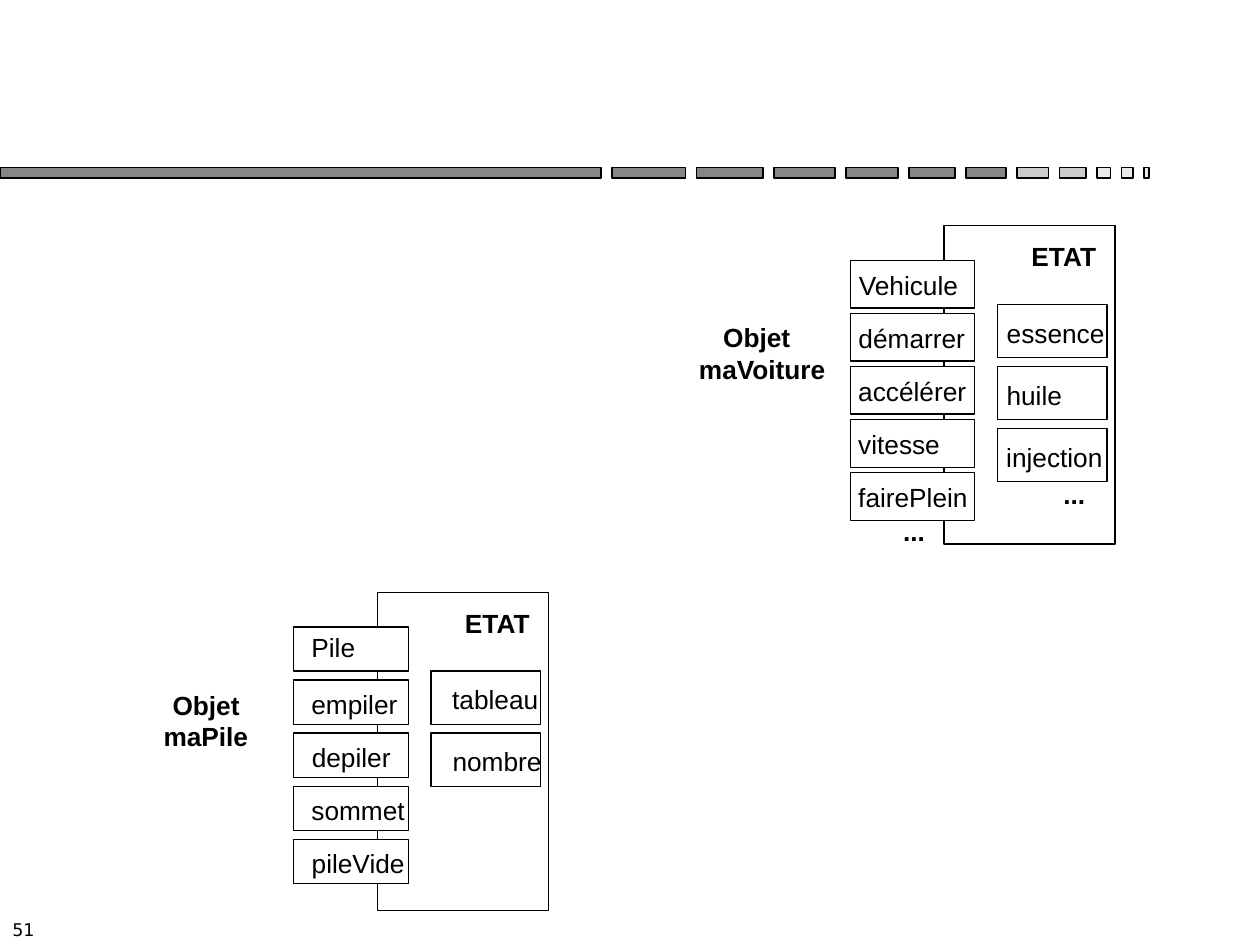
from pptx import Presentation
from pptx.dml.color import RGBColor
from pptx.enum.shapes import MSO_SHAPE as Shape
from pptx.enum.text import MSO_ANCHOR as Anchor, MSO_AUTO_SIZE as AutoSize, PP_ALIGN as Align
from pptx.util import Cm, Pt

BLACK = RGBColor(0x00, 0x00, 0x00)
WHITE = RGBColor(0xFF, 0xFF, 0xFF)
DARK_GREY = RGBColor(0x86, 0x86, 0x86)
MID_GREY = RGBColor(0xCB, 0xCB, 0xCB)
LIGHT_GREY = RGBColor(0xEA, 0xEA, 0xEA)

RULE_TOP, RULE_HEIGHT, RULE_GAP = 3.38, 0.21, 0.22
RULE_BARS = [
    (DARK_GREY, [12.12, 1.48, 1.35, 1.22, 1.05, 0.93, 0.81]),
    (MID_GREY, [0.64, 0.53]),
    (LIGHT_GREY, [0.28, 0.23, 0.1]),
]

BODY_SIZE = (3.45, 6.42)
METHOD_DROP, METHOD_PITCH = 0.7, 1.07
STATE_OFFSET, STATE_SIZE, STATE_PITCH = (1.08, 1.59), (2.21, 1.07), 1.25
STATE_TEXT_DROP = 0.25
TITLE_OFFSET, TITLE_WIDTH = (1.73, 0.3), 1.37
LINE_HEIGHT = 0.64
TEXT_SLACK = 0.08

OBJECTS = [
    {
        "body": (7.61, 11.94),
        "method_left": 5.92,
        "method_size": (2.31, 0.89),
        "method_inset": 0.36,
        "methods": [("Pile", 0.88, 0.08), ("empiler", 1.73, 0.17), ("depiler", 1.6, 0.17),
                    ("sommet", 1.88, 0.17), ("pileVide", 1.88, 0.17)],
        "state_inset": 0.43,
        "state": [("tableau", 1.73), ("nombre", 1.8)],
        "headings": [("Objet", 3.48, 13.89, 1.35), ("maPile", 3.3, 14.53, 1.7)],
    },
    {
        "body": (19.03, 4.55),
        "method_left": 17.15,
        "method_size": (2.49, 0.96),
        "method_inset": 0.15,
        "methods": [("Vehicule", 2.03, 0.18), ("démarrer", 2.16, 0.18), ("accélérer", 2.18, 0.18),
                    ("vitesse", 1.65, 0.18), ("fairePlein", 2.21, 0.18)],
        "state_inset": 0.18,
        "state": [("essence", 1.98), ("huile", 1.12), ("injection", 1.93)],
        "headings": [("Objet", 14.58, 6.48, 1.35), ("maVoiture", 14.07, 7.13, 2.59),
                     ("...", 18.21, 10.39, 0.43), ("...", 21.44, 9.65, 0.43)],
    },
]


def add_box(shapes, left, top, width, height, fill=WHITE, line_width=0):
    shape = shapes.add_shape(Shape.RECTANGLE, Cm(left), Cm(top), Cm(width), Cm(height))
    shape.shadow.inherit = False
    shape.fill.solid()
    shape.fill.fore_color.rgb = fill
    shape.line.color.rgb = BLACK
    shape.line.width = Pt(line_width)


def add_text(shapes, text, left, top, width, height=LINE_HEIGHT, size=15, font="Arial",
             bold=False, align=Align.CENTER, anchor=Anchor.TOP, margins=(0, 0),
             auto_size=AutoSize.SHAPE_TO_FIT_TEXT, slack=TEXT_SLACK):
    box = shapes.add_textbox(Cm(left - slack), Cm(top), Cm(width + 2 * slack), Cm(height))
    frame = box.text_frame
    frame.margin_left = frame.margin_right = Cm(margins[0])
    frame.margin_top = frame.margin_bottom = Cm(margins[1])
    frame.word_wrap = False
    frame.auto_size = auto_size
    frame.vertical_anchor = anchor
    paragraph = frame.paragraphs[0]
    paragraph.alignment = align
    run = paragraph.add_run()
    run.text = text
    run.font.name = font
    run.font.size = Pt(size)
    run.font.bold = bold
    run.font.color.rgb = BLACK


def add_rule(shapes):
    left = 0
    for color, widths in RULE_BARS:
        for width in widths:
            add_box(shapes, left, RULE_TOP, width, RULE_HEIGHT, fill=color, line_width=1)
            left += width + RULE_GAP


def add_object(shapes, item):
    body_left, body_top = item["body"]
    add_box(shapes, body_left, body_top, *BODY_SIZE)

    left = item["method_left"]
    for index, (name, width, drop) in enumerate(item["methods"]):
        top = body_top + METHOD_DROP + index * METHOD_PITCH
        add_box(shapes, left, top, *item["method_size"])
        add_text(shapes, name, left + item["method_inset"], top + drop, width)

    left = body_left + STATE_OFFSET[0]
    for index, (name, width) in enumerate(item["state"]):
        top = body_top + STATE_OFFSET[1] + index * STATE_PITCH
        add_box(shapes, left, top, *STATE_SIZE)
        add_text(shapes, name, left + item["state_inset"], top + STATE_TEXT_DROP, width)

    title = ("ETAT", body_left + TITLE_OFFSET[0], body_top + TITLE_OFFSET[1], TITLE_WIDTH)
    for heading in [*item["headings"], title]:
        add_text(shapes, *heading, bold=True)


def main():
    presentation = Presentation()
    presentation.slide_width, presentation.slide_height = Cm(25.4), Cm(19.05)
    slide = presentation.slides.add_slide(presentation.slide_layouts[6])
    add_rule(slide.shapes.add_group_shape().shapes)
    add_text(slide.shapes, "51", 0, 18.42, 1.27, size=10, font="DejaVu Sans", align=Align.LEFT,
             anchor=Anchor.MIDDLE, margins=(0.25, 0.13), auto_size=AutoSize.NONE, slack=0)
    for item in OBJECTS:
        add_object(slide.shapes.add_group_shape().shapes, item)
    presentation.save("out.pptx")


if __name__ == "__main__":
    main()
